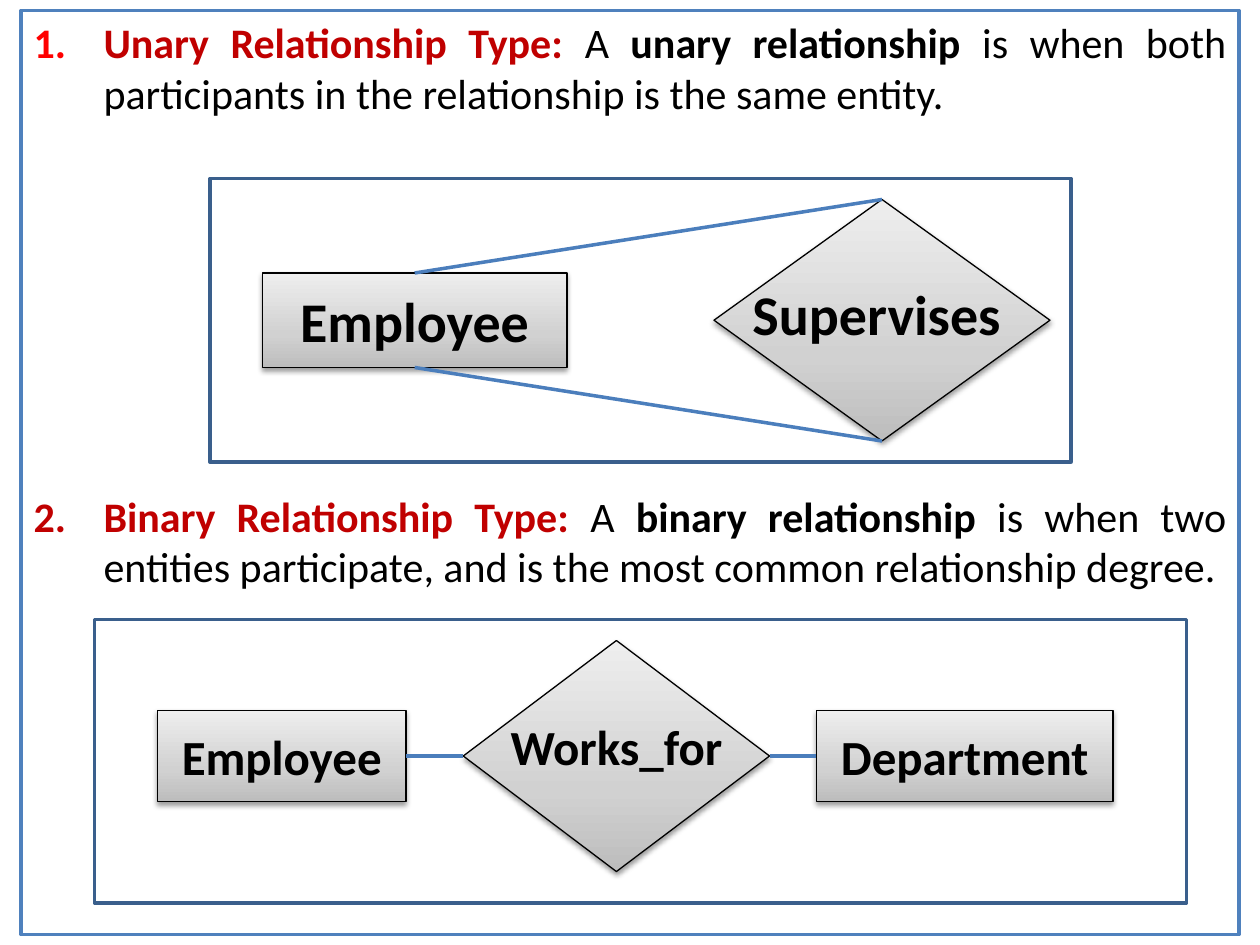
from pptx import Presentation
from pptx import util as u
from pptx.dml.color import RGBColor
from pptx.enum import shapes, text
from pptx.oxml import parse_xml
from pptx.oxml.ns import nsdecls
from lxml import etree

BLACK = RGBColor(0x00, 0x00, 0x00)
WHITE = RGBColor(0xFF, 0xFF, 0xFF)
RED = RGBColor(0xFF, 0x00, 0x00)
DARK_RED = RGBColor(0xC0, 0x00, 0x00)
PANEL_BLUE = RGBColor(0x4F, 0x81, 0xBD)
LINK_BLUE = RGBColor(0x4B, 0x7E, 0xBC)
FRAME_BLUE = RGBColor(0x3A, 0x5F, 0x8C)
GREY_STOPS = (
    (0, RGBColor(0xBD, 0xBD, 0xBD)),
    (35, RGBColor(0xD1, 0xD1, 0xD1)),
    (100, RGBColor(0xEE, 0xEE, 0xEE)),
)

FONT = "Calibri"
RECTANGLE = shapes.MSO_SHAPE.RECTANGLE
DIAMOND = shapes.MSO_SHAPE.DIAMOND
TOP, LEFT, BOTTOM, RIGHT = range(4)  # connection sites

DEFINITIONS = (
    (RED, 0, "Unary Relationship Type: ", "A", " unary relationship ",
     "is when both participants in the relationship is the same entity."),
    (DARK_RED, 207, "Binary Relationship Type: ", "A ", "binary relationship ",
     "is when two entities participate, and is the most common relationship degree."),
)


def points(*lengths):
    return [u.Pt(length) for length in lengths]


def set_line(shape, color, width):
    shape.line.color.rgb = color
    shape.line.width = u.Pt(width)


def number_paragraph(para, number, color):
    """Give the paragraph a coloured automatic number on a hanging indent."""
    properties = para._p.get_or_add_pPr()
    properties.set("marL", str(u.Pt(40)))
    properties.set("indent", str(u.Pt(-40)))
    for xml in (
        f'<a:buClr {nsdecls("a")}><a:srgbClr val="{color}"/></a:buClr>',
        f'<a:buFont {nsdecls("a")} typeface="+mj-lt"/>',
        f'<a:buAutoNum {nsdecls("a")} type="arabicPeriod" startAt="{number}"/>',
    ):
        properties.append(parse_xml(xml))


def add_definitions(slide):
    body = slide.placeholders[1]
    body.left, body.top, body.width, body.height = points(12, 6, 696, 528)
    body.fill.solid()
    body.fill.fore_color.rgb = WHITE
    set_line(body, PANEL_BLUE, 2)
    frame = body.text_frame
    frame.auto_size = text.MSO_AUTO_SIZE.NONE
    frame.vertical_anchor = text.MSO_ANCHOR.TOP
    for number, (number_color, gap, heading, *sentence) in enumerate(DEFINITIONS, 1):
        para = frame.paragraphs[0] if number == 1 else frame.add_paragraph()
        para.alignment = text.PP_ALIGN.JUSTIFY
        para.space_before, para.space_after = points(gap, 6)
        para.font.name, para.font.size = FONT, u.Pt(24)
        number_paragraph(para, number, number_color)
        opening, term, rest = sentence
        for wording, color, bold in (
            (heading, DARK_RED, True),
            (opening, BLACK, False),
            (term, BLACK, True),
            (rest, BLACK, False),
        ):
            span = para.add_run()
            span.text = wording
            span.font.color.rgb = color
            span.font.bold = bold


def write_label(shape, wording, size):
    para = shape.text_frame.paragraphs[0]
    para.text = wording
    para.alignment = text.PP_ALIGN.CENTER
    para.font.name, para.font.size = FONT, u.Pt(size)
    para.font.bold = True
    para.font.color.rgb = BLACK


def add_node(group, kind, box):
    """Add a grey shaded shape with a soft shadow below it."""
    node = group.shapes.add_shape(kind, *points(*box))
    set_line(node, BLACK, 0.75)
    stops = "".join(
        f'<a:gs pos="{percent * 1000}"><a:srgbClr val="{color}"/></a:gs>'
        for percent, color in GREY_STOPS
    )
    properties = node._element.spPr
    properties.prstGeom.addnext(parse_xml(
        f'<a:gradFill {nsdecls("a")} rotWithShape="1"><a:gsLst>{stops}</a:gsLst>'
        '<a:lin ang="16200000" scaled="0"/></a:gradFill>'))
    properties.append(parse_xml(
        f'<a:effectLst {nsdecls("a")}><a:outerShdw blurRad="{u.Pt(3.1)}" '
        f'dist="{u.Pt(1.6)}" dir="5400000" rotWithShape="0"><a:srgbClr val="{BLACK}">'
        '<a:alpha val="38000"/></a:srgbClr></a:outerShdw></a:effectLst>'))
    return node


def add_entity(group, wording, size, box):
    entity = add_node(group, RECTANGLE, box)
    entity.text_frame.vertical_anchor = text.MSO_ANCHOR.MIDDLE
    write_label(entity, wording, size)
    return entity


def add_caption(parent, wording, size, box):
    caption = parent.shapes.add_textbox(*points(*box))
    caption.text_frame.word_wrap = True
    caption.text_frame.auto_size = text.MSO_AUTO_SIZE.SHAPE_TO_FIT_TEXT
    write_label(caption, wording, size)


def add_link(group, start, start_site, end, end_site):
    link = group.shapes.add_connector(shapes.MSO_CONNECTOR.STRAIGHT, 0, 0, 0, 0)
    link.begin_connect(start, start_site)
    link.end_connect(end, end_site)
    set_line(link, LINK_BLUE, 2)
    properties = link._element.spPr
    etree.SubElement(properties, properties.prstGeom.tag.replace("prstGeom", "effectLst"))


def add_frame(slide, box):
    frame = slide.shapes.add_shape(RECTANGLE, *points(*box))
    frame.shadow.inherit = False
    frame.fill.background()
    set_line(frame, FRAME_BLUE, 2)


def add_unary_diagram(slide):
    group = slide.shapes.add_group_shape()
    employee = add_entity(group, "Employee", 32, (150, 156, 174, 54))
    supervises = add_node(group, DIAMOND, (408, 114, 192, 138))
    for site in (TOP, BOTTOM):
        add_link(group, employee, site, supervises, site)
    add_caption(slide, "Supervises", 32, (408, 156, 186, 46))


def add_binary_diagram(slide):
    group = slide.shapes.add_group_shape()
    employee = add_entity(group, "Employee", 28, (90, 406, 142, 52))
    department = add_entity(group, "Department", 28, (466.5, 406, 169.5, 52))
    works_for = add_node(group, DIAMOND, (264.75, 366, 175, 132))
    add_caption(group, "Works_for", 28, (276, 406, 152.5, 41))
    add_link(group, employee, RIGHT, works_for, LEFT)
    add_link(group, works_for, RIGHT, department, LEFT)


def main():
    deck = Presentation()
    deck.slide_width, deck.slide_height = points(720, 540)
    slide = deck.slides.add_slide(deck.slide_layouts[1])
    title = slide.shapes.title._element
    title.getparent().remove(title)
    add_definitions(slide)
    add_unary_diagram(slide)
    add_binary_diagram(slide)
    add_frame(slide, (54, 354, 624, 162))
    add_frame(slide, (120, 102, 492, 162))
    deck.save("out.pptx")


if __name__ == "__main__":
    main()
